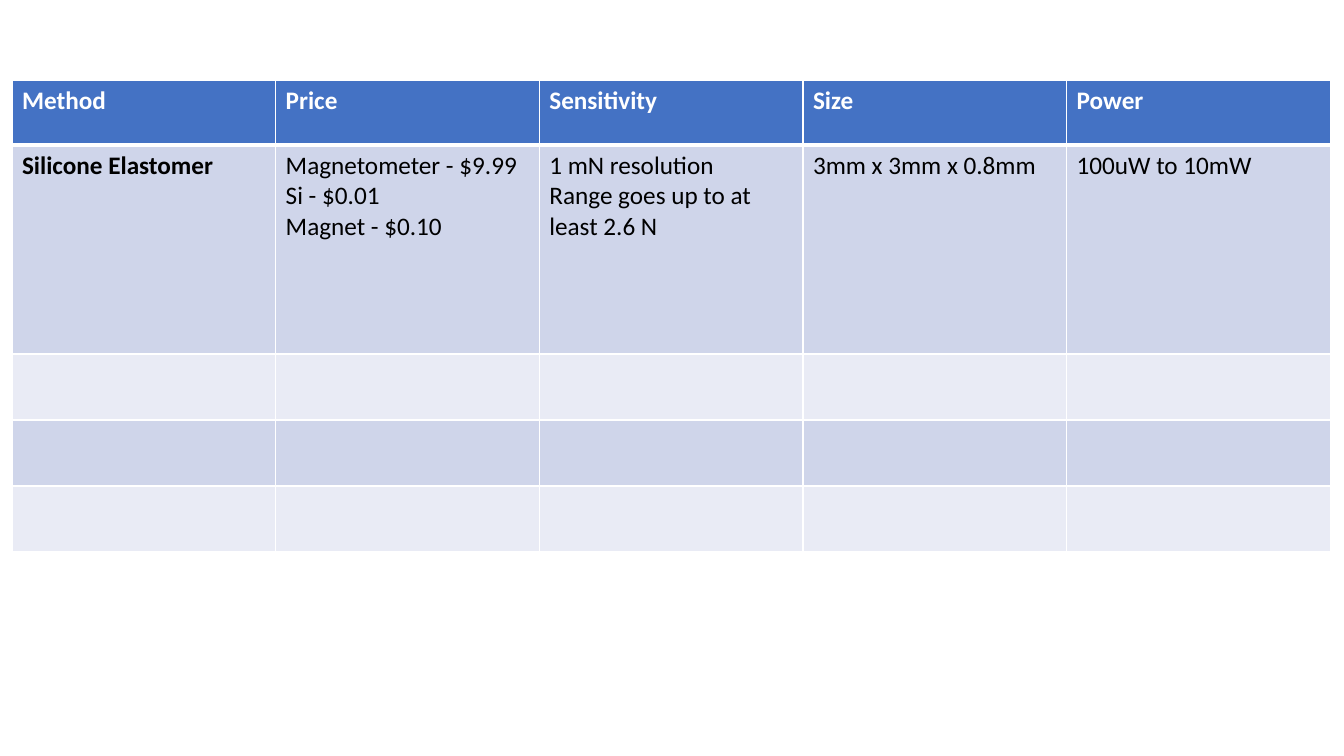
from lxml import etree
from pptx import Presentation
from pptx import util as u
from pptx.dml.color import RGBColor
from pptx.oxml import ns

# Content: empty rows are left for further methods
HEADER = ["Method", "Price", "Sensitivity", "Size", "Power"]
SILICONE = [
    "Silicone Elastomer",
    "Magnetometer - $9.99\nSi - $0.01\nMagnet - $0.10",
    "1 mN resolution \nRange goes up to at least 2.6 N",
    "3mm x 3mm x 0.8mm",
    "100uW to 10mW",
]
EMPTY = [""] * len(HEADER)
ROWS = [HEADER, SILICONE, EMPTY, EMPTY, EMPTY]

# Layout in pixels
PX = 914400 / 100.8
LEFT, TOP, WIDTH = 12, 80, 1318
ROW_HEIGHTS = [65, 209, 66, 66, 66]
WHITE, BLACK, BLUE = "FFFFFF", "000000", "4472C4"
BANDS = ["CFD5EA", "E9EBF5"]


def px(n):
    return u.Emu(round(n * PX))


def color(value):
    return RGBColor.from_string(value)


def add_border(cell, side, width):
    tc_pr = cell._tc.get_or_add_tcPr()
    ln = etree.SubElement(tc_pr, ns.qn("a:ln" + side), w=str(u.Pt(width)))
    fill = etree.SubElement(ln, ns.qn("a:solidFill"))
    etree.SubElement(fill, ns.qn("a:srgbClr"), val=WHITE)


def format_text(cell, value, **font):
    tf = cell.text_frame
    tf.text = value
    for p in tf.paragraphs:
        p.font.size = u.Pt(18)
        for r in p.runs:
            r.font.color.rgb = color(WHITE if font["header"] else BLACK)
            for name, setting in font["format"].items():
                setattr(r.font, name, setting)


prs = Presentation()
prs.slide_width, prs.slide_height = u.Inches(13.33), u.Inches(7.5)
s = prs.slides.add_slide(prs.slide_layouts[6])

# Comparison table
table = s.shapes.add_table(len(ROWS), len(HEADER), px(LEFT), px(TOP),
                           px(WIDTH), px(sum(ROW_HEIGHTS))).table
for column in table.columns:
    column.width = px(WIDTH / len(HEADER))

for i, (values, height) in enumerate(zip(ROWS, ROW_HEIGHTS)):
    table.rows[i].height = px(height)
    header = i == 0
    for j, value in enumerate(values):
        cell = table.cell(i, j)
        # The rule under the header is thicker than the others
        widths = {"L": 1, "R": 1, "T": 3 if i == 1 else 1, "B": 3 if header else 1}
        for side, width in widths.items():
            add_border(cell, side, width)
        cell.fill.solid()
        cell.fill.fore_color.rgb = color(BLUE if header else BANDS[(i - 1) % 2])
        format_text(cell, value, header=header, format={
            "name": "Calibri", "size": u.Pt(18), "bold": header or j == 0})

prs.save("out.pptx")
